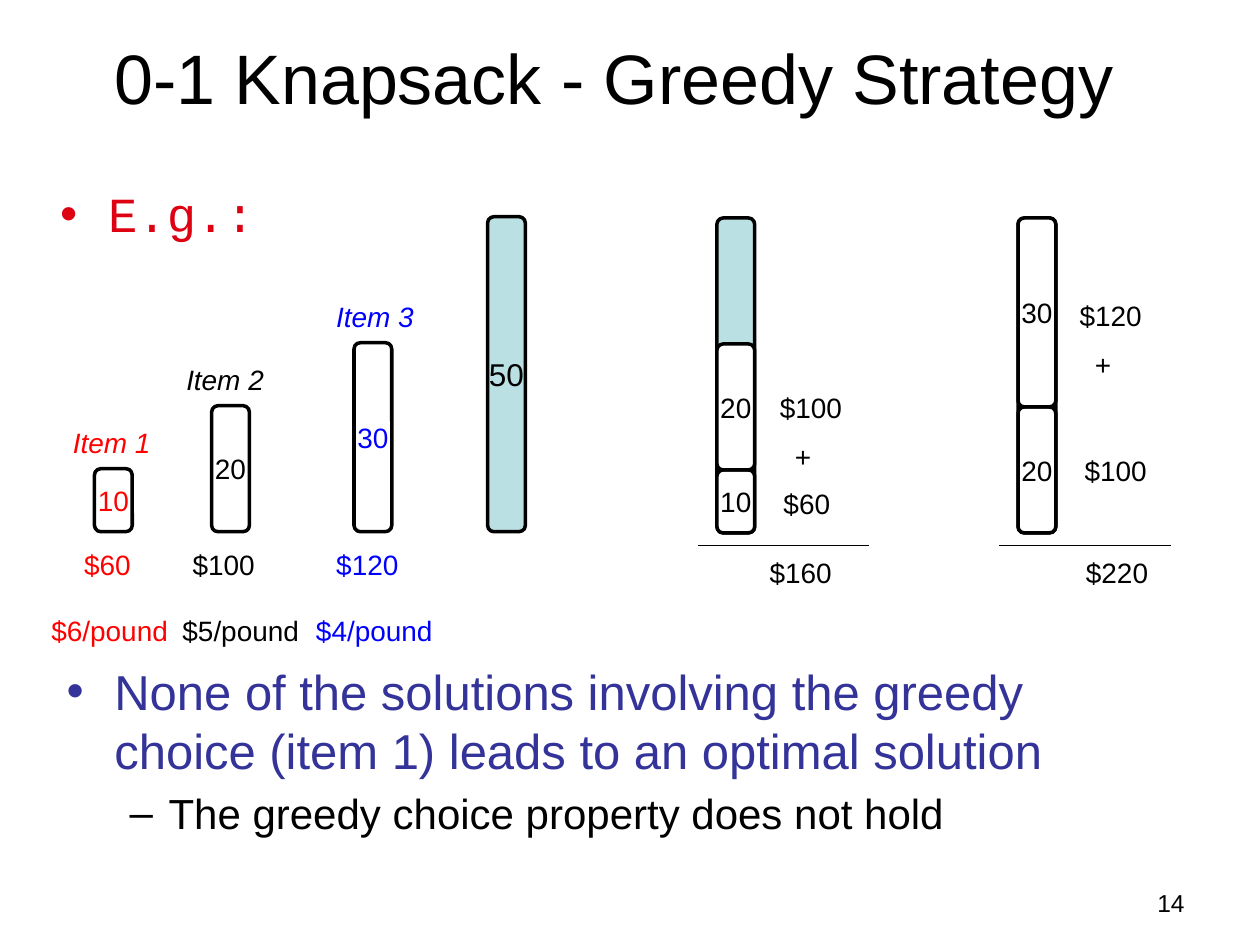
from dataclasses import dataclass

from lxml.etree import SubElement
from pptx import Presentation
from pptx.dml.color import RGBColor
from pptx.enum.shapes import MSO_CONNECTOR, MSO_SHAPE
from pptx.enum.text import MSO_ANCHOR, MSO_AUTO_SIZE, PP_ALIGN
from pptx.oxml.ns import qn
from pptx.util import Inches, Pt


@dataclass(frozen=True)
class Theme:
    black: str = "000000"
    white: str = "FFFFFF"
    red: str = "FF0000"
    blue: str = "0000FF"
    crimson: str = "DD0111"
    indigo: str = "333399"
    knapsack: str = "BBE0E3"
    font: str = "Arial"
    code_font: str = "Courier New"
    title: int = 40
    body: int = 28
    detail: int = 24
    capacity: int = 18
    label: int = 16
    number: int = 14


THEME = Theme()
CAPACITY = 50
BAR_WIDTH = 0.3
INCHES_PER_POUND = 0.05
ITEM_BASE = 4.22
STACK_BASE = 4.23
LABEL_HEIGHT = 0.37
LABEL_WIDTHS = {3: 0.57, 4: 0.69, 6: 0.82, 8: 1.13}


@dataclass(frozen=True)
class Item:
    name: str
    weight: int
    value: str
    rate: str
    color: str
    bar_left: float
    name_left: float
    value_left: float
    rate_left: float


@dataclass(frozen=True)
class Label:
    text: str
    left: float
    top: float


@dataclass(frozen=True)
class Stack:
    left: float
    weights: tuple[int, ...]
    lower: Label
    upper: Label
    total: Label


ITEMS = (
    Item("Item 1", 10, "$60", "$6/pound", THEME.red, 0.75, 0.48, 0.57, 0.31),
    Item("Item 2", 20, "$100", "$5/pound", THEME.black, 1.68, 1.38, 1.43, 1.35),
    Item("Item 3", 30, "$120", "$4/pound", THEME.blue, 2.81, 2.57, 2.57, 2.41),
)
STACKS = (
    Stack(5.69, (10, 20), Label("$60", 6.12, 3.81),
          Label("$100", 6.09, 3.05), Label("$160", 6.01, 4.36)),
    Stack(8.08, (20, 30), Label("$100", 8.51, 3.55),
          Label("$120", 8.47, 2.32), Label("$220", 8.52, 4.36)),
)


def write_text(paragraph, text: str, *, size: int = THEME.label,
               color: str = THEME.black, font: str = THEME.font,
               italic: bool = False, align=PP_ALIGN.LEFT, bullet: str = "",
               margin: float = 0, indent: float = 0, space_before: float = 0) -> None:
    properties = paragraph._p.get_or_add_pPr()
    properties.set("marL", str(Inches(margin)))
    properties.set("indent", str(Inches(indent)))
    paragraph.alignment = align
    paragraph.space_before = Pt(space_before)
    if bullet:
        SubElement(properties, qn("a:buFont")).set("typeface", THEME.font)
        SubElement(properties, qn("a:buChar")).set("char", bullet)
    run = paragraph.add_run()
    run.text = text
    run.font.size = Pt(size)
    run.font.name = font
    run.font.italic = italic
    run.font.color.rgb = RGBColor.from_string(color)


def add_box(slide, left: float, top: float, width: float, height: float):
    shape = slide.shapes.add_textbox(
        Inches(left), Inches(top), Inches(width), Inches(height))
    shape.text_frame.word_wrap = True
    return shape.text_frame


def add_label(slide, label: Label, color: str = THEME.black, italic: bool = False):
    frame = add_box(slide, label.left, label.top,
                    LABEL_WIDTHS[len(label.text)], LABEL_HEIGHT)
    frame.word_wrap = False
    frame.auto_size = MSO_AUTO_SIZE.SHAPE_TO_FIT_TEXT
    write_text(frame.paragraphs[0], label.text, color=color, italic=italic)
    return frame


def add_bar(slide, left: float, base: float, weight: int, *,
            fill: str = THEME.white, color: str = THEME.black,
            size: int = THEME.label, show_weight: bool = True) -> None:
    height = weight * INCHES_PER_POUND
    shape = slide.shapes.add_shape(
        MSO_SHAPE.ROUNDED_RECTANGLE, Inches(left), Inches(base - height),
        Inches(BAR_WIDTH), Inches(height))
    shape.shadow.inherit = False
    shape.fill.solid()
    shape.fill.fore_color.rgb = RGBColor.from_string(fill)
    shape.line.color.rgb = RGBColor.from_string(THEME.black)
    shape.line.width = Pt(2)
    if show_weight:
        frame = shape.text_frame
        frame.word_wrap = False
        frame.vertical_anchor = MSO_ANCHOR.MIDDLE
        write_text(frame.paragraphs[0], str(weight), size=size, color=color,
                   align=PP_ALIGN.CENTER)


def add_item(slide, item: Item) -> None:
    add_bar(slide, item.bar_left, ITEM_BASE, item.weight, color=item.color)
    name_top = ITEM_BASE - item.weight * INCHES_PER_POUND - LABEL_HEIGHT - 0.02
    add_label(slide, Label(item.name, item.name_left, name_top), item.color, italic=True)
    add_label(slide, Label(item.value, item.value_left, 4.3), item.color)
    add_label(slide, Label(item.rate, item.rate_left, 4.82), item.color)


def add_stack(slide, stack: Stack) -> None:
    add_bar(slide, stack.left, STACK_BASE, CAPACITY, fill=THEME.knapsack,
            show_weight=False)
    base = STACK_BASE
    for weight in stack.weights:
        add_bar(slide, stack.left, base, weight)
        base -= weight * INCHES_PER_POUND
    add_label(slide, stack.lower)
    upper = add_label(slide, stack.upper)
    write_text(upper.add_paragraph(), "+", margin=0.12, space_before=9)
    add_sum_line(slide, stack.left - 0.15, 4.33, 1.36)
    add_label(slide, stack.total)


def add_sum_line(slide, left: float, top: float, width: float) -> None:
    line = slide.shapes.add_connector(
        MSO_CONNECTOR.STRAIGHT, Inches(left), Inches(top),
        Inches(left + width), Inches(top))
    line.line.color.rgb = RGBColor.from_string(THEME.black)
    line.line.width = Pt(0.75)
    SubElement(line._element.spPr, qn("a:effectLst"))


def main() -> None:
    presentation = Presentation()
    presentation.slide_width = Inches(10)
    presentation.slide_height = Inches(7.5)
    slide = presentation.slides.add_slide(presentation.slide_layouts[6])

    title = add_box(slide, 0.37, 0.11, 9, 0.99)
    title.vertical_anchor = MSO_ANCHOR.MIDDLE
    write_text(title.paragraphs[0], "0-1 Knapsack - Greedy Strategy",
               size=THEME.title, align=PP_ALIGN.CENTER)

    example = add_box(slide, 0.38, 1.41, 9, 1.1)
    write_text(example.paragraphs[0], "E.g.:", size=THEME.body, color=THEME.crimson,
               font=THEME.code_font, bullet="•", margin=0.38, indent=-0.38)

    for item in ITEMS:
        add_item(slide, item)
    add_bar(slide, 3.87, ITEM_BASE, CAPACITY, fill=THEME.knapsack, size=THEME.capacity)
    for stack in STACKS:
        add_stack(slide, stack)

    conclusion = add_box(slide, 0.43, 5.2, 9, 1.97)
    write_text(conclusion.paragraphs[0],
               "None of the solutions involving the greedy choice (item 1) "
               "leads to an optimal solution",
               size=THEME.body, color=THEME.indigo, bullet="•",
               margin=0.38, indent=-0.38)
    detail = conclusion.add_paragraph()
    detail.level = 1
    write_text(detail, "The greedy choice property does not hold",
               size=THEME.detail, bullet="–", margin=0.81, indent=-0.31,
               space_before=5)

    number = add_box(slide, 7.17, 7, 2.33, 0.35)
    write_text(number.paragraphs[0], "14", size=THEME.number, align=PP_ALIGN.RIGHT)
    presentation.save("out.pptx")


if __name__ == "__main__":
    main()
